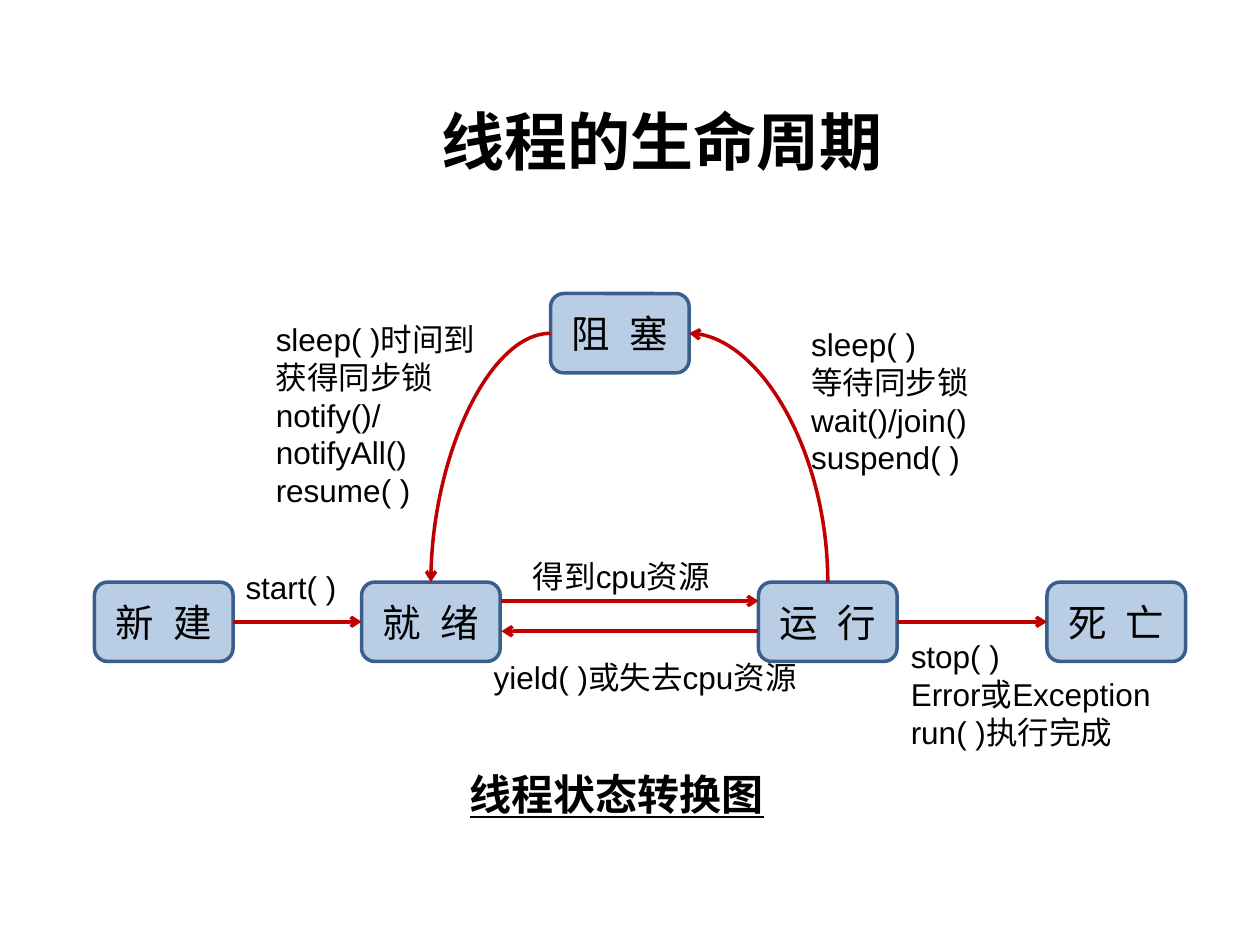
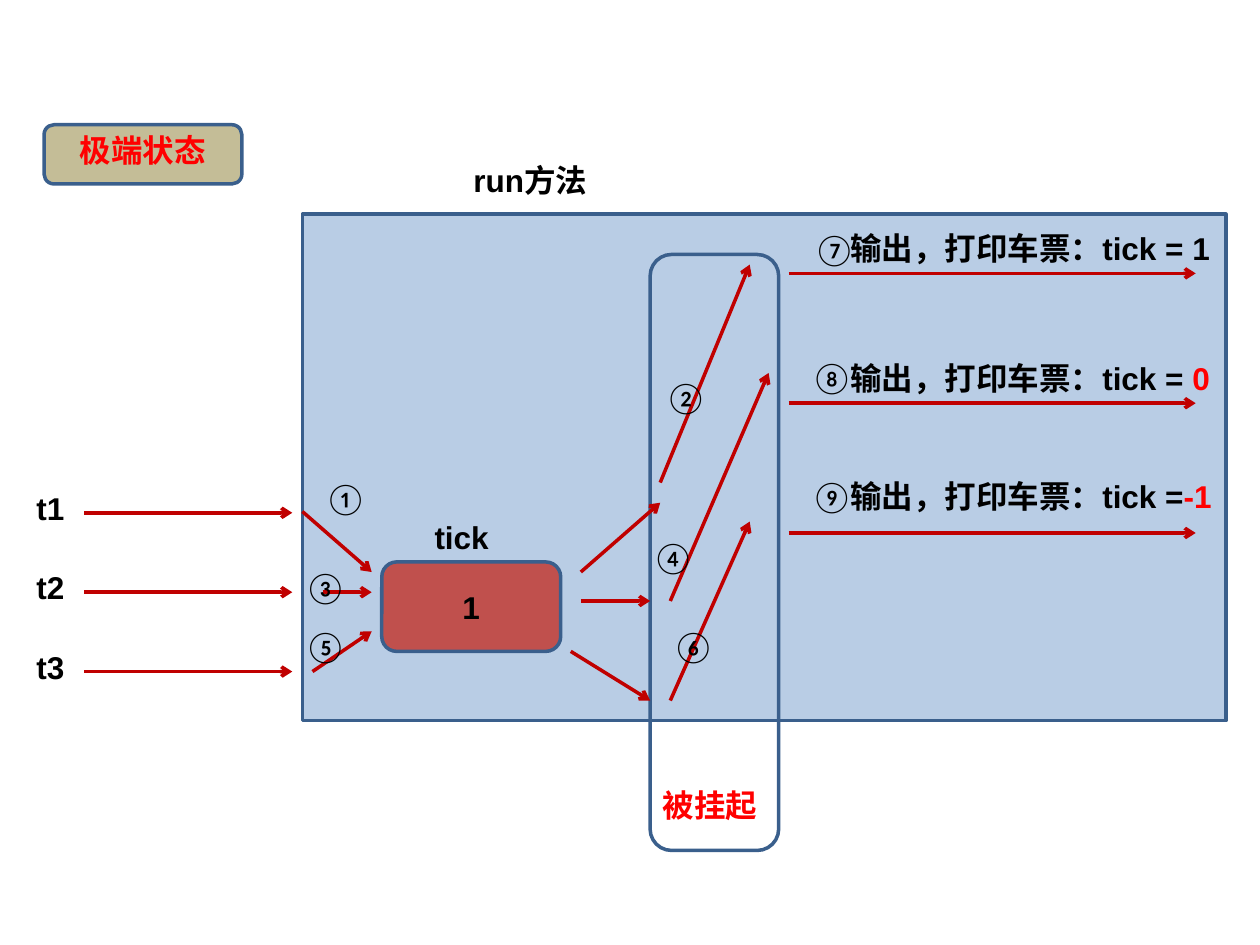
from dataclasses import dataclass

from lxml.etree import SubElement
from pptx import Presentation
from pptx.dml.color import RGBColor
from pptx.enum.shapes import MSO_CONNECTOR as LINK, MSO_SHAPE as SHAPE
from pptx.enum.text import MSO_ANCHOR as ANCHOR, PP_ALIGN as ALIGN
from pptx.oxml.ns import qn
from pptx.util import Inches, Pt


@dataclass(frozen=True)
class Style:
    size: int
    font: str = "Arial"
    bold: bool = False
    underline: bool = False
    spacing: int = 0


class Theme:
    black = RGBColor(0x00, 0x00, 0x00)
    red = RGBColor(0xFF, 0x00, 0x00)
    arrow = RGBColor(0xC0, 0x00, 0x00)
    outline = RGBColor(0x3A, 0x5F, 0x8C)
    light_blue = RGBColor(0xB9, 0xCD, 0xE5)
    tan = RGBColor(0xC4, 0xBD, 0x97)
    brick = RGBColor(0xC0, 0x50, 0x4D)
    east_asian = "Noto Sans CJK SC"
    line = Pt(2)
    title = Style(36, "Times New Roman", bold=True)
    caption = Style(24, "Noto Sans CJK SC", bold=True, underline=True)
    state = Style(22, spacing=300)
    body = Style(18)
    strong = Style(18, bold=True)
    step = Style(18, "Calibri")


presentation = Presentation()
presentation.slide_width = Inches(10)
presentation.slide_height = Inches(7.5)
CELL = presentation.slide_width / 100  # square grid: 100 columns by 75 rows


def write_text(frame, paragraphs, style, align=ALIGN.LEFT):
    """Fill a text frame; each paragraph is a list of (text, colour) runs."""
    frame.word_wrap = True
    for index, runs in enumerate(paragraphs):
        paragraph = frame.add_paragraph() if index else frame.paragraphs[0]
        paragraph.alignment = align
        for text, color in runs:
            run = paragraph.add_run()
            run.text = text
            run.font.size = Pt(style.size)
            run.font.name = style.font
            run.font.bold = style.bold
            run.font.underline = style.underline
            run.font.color.rgb = color
            properties = run._r.get_or_add_rPr()
            if style.spacing:
                properties.set("spc", str(style.spacing))
            SubElement(properties, qn("a:ea"), typeface=Theme.east_asian)


def add_arrow(slide, points, kind=LINK.STRAIGHT, head="a:tailEnd"):
    connector = slide.shapes.add_connector(kind, *(round(p * CELL) for p in points))
    connector.line.color.rgb = Theme.arrow
    connector.line.width = Theme.line
    properties = connector.element.spPr
    SubElement(properties.find(qn("a:ln")), qn(head), type="arrow")
    SubElement(properties, qn("a:effectLst"))
    return connector


# Boxes: name, preset, (left, top, width, height), fill, text, style, colour, anchor
STATE_SIZE = (11, 6.3)
STATE_ROW = 46.2
states = [
    ("blocked", "阻 塞", 43.7, 23.3),
    ("new", "新 建", 7.5, STATE_ROW),
    ("ready", "就 绪", 28.7, STATE_ROW),
    ("running", "运 行", 60.2, STATE_ROW),
    ("dead", "死 亡", 83.1, STATE_ROW),
]
state_boxes = [
    (name, SHAPE.ROUNDED_RECTANGLE, (left, top, *STATE_SIZE), Theme.light_blue,
     text, Theme.state, Theme.black, ANCHOR.MIDDLE)
    for name, text, left, top in states
]
ticket_boxes = [
    ("extreme", SHAPE.ROUNDED_RECTANGLE, (3.5, 9.9, 15.7, 4.7), Theme.tan,
     "极端状态", Theme.strong, Theme.red, ANCHOR.TOP),
    ("run method", SHAPE.RECTANGLE, (24, 17, 73.3, 40.2), Theme.light_blue,
     "", Theme.body, Theme.black, ANCHOR.MIDDLE),
    ("tick", SHAPE.ROUNDED_RECTANGLE, (30.3, 44.6, 14.2, 7.1), Theme.brick,
     "1", Theme.strong, Theme.black, ANCHOR.MIDDLE),
    ("suspended", SHAPE.ROUNDED_RECTANGLE, (51.6, 20.2, 10.2, 47.3), None,
     "", Theme.body, Theme.black, ANCHOR.MIDDLE),
]

# Labels: (left, top, width), style, paragraphs of runs
state_labels = [
    ((left, top, width), style, [[(line, Theme.black)] for line in lines])
    for left, top, width, style, lines in [
        (18.5, 44.6, 10.2, Theme.body, ["start( )"]),
        (41.3, 43.7, 18.1, Theme.body, ["得到cpu资源"]),
        (38.2, 51.7, 26.8, Theme.body, ["yield( )或失去cpu资源"]),
        (71.3, 50.1, 27.2, Theme.body,
         ["stop( )", "Error或Exception", "run( )执行完成"]),
        (63.4, 25.3, 21.3, Theme.body,
         ["sleep( )", "等待同步锁", "wait()/join()", "suspend( )"]),
        (20.9, 24.9, 20.5, Theme.body,
         ["sleep( )时间到", "获得同步锁", "notify()/notifyAll()", "resume( )"]),
        (36.3, 60.5, 26, Theme.caption, ["线程状态转换图"]),
    ]
]
ticket_labels = [
    ((33.5, 40.6, 14.2), Theme.strong, [[("tick", Theme.black)]]),
    ((36.6, 12.3, 13.4), Theme.strong, [[("run方法", Theme.black)]]),
    ((51.6, 61.9, 10.2), Theme.strong, [[("被挂起", Theme.red)]]),
]
ticket_arrows = [
    (52.4, 38.3, 59.5, 21), (53.2, 47.7, 61, 29.6), (53.2, 55.6, 59.5, 41.4),
    (24, 40.6, 29.5, 45.4), (25.6, 47, 29.5, 47), (24.8, 53.3, 29.5, 50.1),
    (46.1, 45.4, 52.4, 39.9), (46.1, 47.7, 51.6, 47.7), (45.3, 51.7, 51.6, 55.6),
]
outputs = [
    (17.7, "tick = 1", "", Theme.black),
    (28, "tick = ", "0", Theme.red),
    (37.4, "tick =", "-1", Theme.red),
]
for row, (top, shown, value, color) in enumerate(outputs):
    thread_top = 38.3 + 6.3 * row
    ticket_labels.append(
        ((1.9, thread_top, 10.2), Theme.strong, [[(f"t{row + 1}", Theme.black)]]))
    ticket_arrows.append((6.7, thread_top + 2.4, 23.2, thread_top + 2.4))
    runs = [("输出，打印车票：" + shown, Theme.black)]
    if value:
        runs.append((value, color))
    ticket_labels.append(((66.5, top, 33.5), Theme.strong, [runs]))
    output_row = 21.7 + 10.3 * row
    ticket_arrows.append((62.6, output_row, 94.9, output_row))

step_places = [
    (24.8, 37.5), (51.8, 29.5), (23.2, 44.6), (50.8, 42.2), (23.2, 49.3),
    (52.4, 49.3), (63.6, 17.8), (63.4, 27.9), (63.4, 37.4),
]
for number, (left, top) in zip("①②③④⑤⑥⑦⑧⑨", step_places):
    ticket_labels.append(((left, top, 5.4), Theme.step, [[(number, Theme.black)]]))

state_arrows = [(39.8, 47.7, 60.2, 47.7), (60.2, 50.1, 39.8, 50.1)]

shapes = {}
for boxes, labels, arrows in [
    (state_boxes, state_labels, state_arrows),
    (ticket_boxes, ticket_labels, ticket_arrows),
]:
    slide = presentation.slides.add_slide(presentation.slide_layouts[6])
    for name, preset, place, fill, text, style, color, anchor in boxes:
        shape = slide.shapes.add_shape(preset, *(round(p * CELL) for p in place))
        shape.shadow.inherit = False
        shape.line.color.rgb = Theme.outline
        shape.line.width = Theme.line
        if fill is None:
            shape.fill.background()
        else:
            shape.fill.solid()
            shape.fill.fore_color.rgb = fill
        if text:
            frame = shape.text_frame
            frame.margin_left = frame.margin_right = Inches(0.03)
            frame.margin_top = frame.margin_bottom = Inches(0.03)
            frame.vertical_anchor = anchor
            write_text(frame, [[(text, color)]], style, ALIGN.CENTER)
        shapes[name] = shape
    for points in arrows:
        add_arrow(slide, points)
    for (left, top, width), style, paragraphs in labels:
        height = 4 * len(paragraphs)
        box = slide.shapes.add_textbox(
            *(round(p * CELL) for p in (left, top, width, height)))
        write_text(box.text_frame, paragraphs, style)

life_cycle = presentation.slides[0]
title = life_cycle.shapes.add_textbox(
    *(round(p * CELL) for p in (22.4, 7.6, 60.2, 7.1)))
title.text_frame.vertical_anchor = ANCHOR.MIDDLE
write_text(title.text_frame, [[("线程的生命周期", Theme.black)]], Theme.title, ALIGN.CENTER)

TOP, LEFT, RIGHT = 0, 1, 3
for start, start_side, end, end_side, kind, head in [
    ("new", RIGHT, "ready", LEFT, LINK.STRAIGHT, "a:tailEnd"),
    ("running", RIGHT, "dead", LEFT, LINK.STRAIGHT, "a:tailEnd"),
    ("blocked", LEFT, "ready", TOP, LINK.CURVE, "a:tailEnd"),
    ("blocked", RIGHT, "running", TOP, LINK.CURVE, "a:headEnd"),
]:
    connector = add_arrow(life_cycle, (0, 0, 0, 0), kind, head)
    connector.begin_connect(shapes[start], start_side)
    connector.end_connect(shapes[end], end_side)
    if kind == LINK.CURVE:
        geometry = connector.element.spPr.find(qn("a:prstGeom"))
        geometry.set("prst", "curvedConnector2")

presentation.save("out.pptx")
